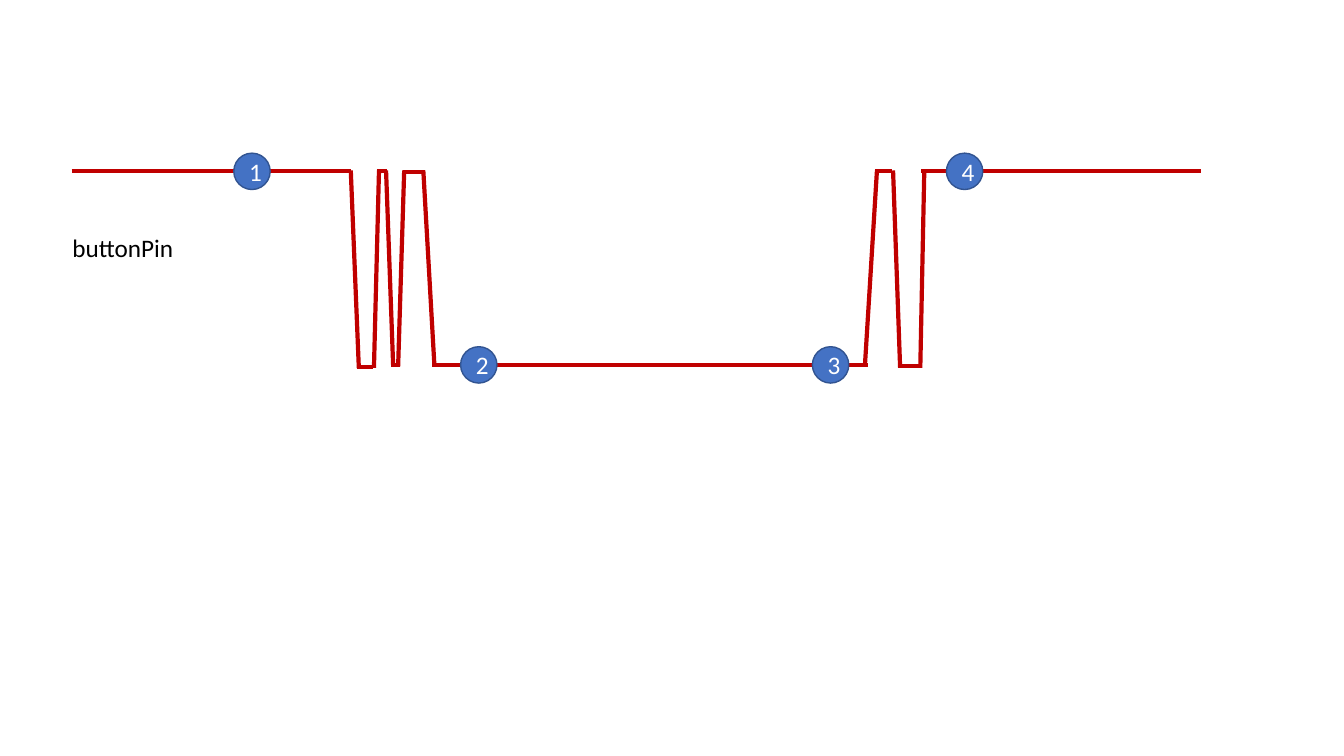
import dataclasses

import lxml.etree
import pptx
import pptx.dml.color
import pptx.enum.shapes
import pptx.enum.text
import pptx.oxml.ns
import pptx.util

Pt = pptx.util.Pt
RGBColor = pptx.dml.color.RGBColor


@dataclasses.dataclass(frozen=True)
class Theme:
    font: str = "Calibri"
    text_size: float = 18
    signal_width: float = 3
    outline_width: float = 1
    signal: RGBColor = RGBColor(0xC0, 0x00, 0x00)
    badge: RGBColor = RGBColor(0x44, 0x72, 0xC4)
    badge_outline: RGBColor = RGBColor(0x32, 0x54, 0x91)
    badge_text: RGBColor = RGBColor(0xFF, 0xFF, 0xFF)
    label_text: RGBColor = RGBColor(0x00, 0x00, 0x00)


HIGH = 122.4
LOW = 260.64
EDGE_TOP = 121.8
BADGE_SIZE = 26

# Level sections: start x, end x, y
LEVELS = [
    (658.08, 858.24, HIGH),
    (269.28, 276.48, HIGH),
    (51.12, 250.56, HIGH),
    (288, 303.84, 123),
    (624.96, 637.2, HIGH),
    (279.36, 284.4, LOW),
    (642.24, 658.08, 261.36),
    (619.92, 308.88, LOW),
    (254.88, 266.4, 262),
]

# Bouncing edges: x at the top, x at the bottom, y at the bottom
EDGES = [
    (250.56, 256.32, 262.8),
    (275.76, 280.8, LOW),
    (302.4, 310.32, 261.36),
    (626.4, 617.76, 262),
    (270.72, 267.12, 262.8),
    (637.92, 642.96, 262.8),
    (288.72, 284.4, 262),
    (660.24, 657.36, 262.8),
]

# Badges: number, centre x, centre y
BADGES = [
    ("1", 180, HIGH),
    ("4", 689, HIGH),
    ("3", 593.28, LOW),
    ("2", 342, LOW),
]


class SlideBuilder:
    def __init__(self, slide, theme):
        self.slide = slide
        self.theme = theme

    def format_text(self, text_frame, color):
        for paragraph in text_frame.paragraphs:
            for run in paragraph.runs:
                run.font.name = self.theme.font
                run.font.size = Pt(self.theme.text_size)
                run.font.color.rgb = color

    def signal_line(self, start_x, start_y, end_x, end_y):
        connector = self.slide.shapes.add_connector(
            pptx.enum.shapes.MSO_CONNECTOR.STRAIGHT,
            Pt(start_x), Pt(start_y), Pt(end_x), Pt(end_y),
        )
        connector.line.color.rgb = self.theme.signal
        connector.line.width = Pt(self.theme.signal_width)
        properties = connector._element.spPr
        lxml.etree.SubElement(properties, pptx.oxml.ns.qn("a:effectLst"))

    def label(self, text, left, top, width, height):
        text_box = self.slide.shapes.add_textbox(
            Pt(left), Pt(top), Pt(width), Pt(height)
        )
        text_frame = text_box.text_frame
        text_frame.word_wrap = True
        text_frame.auto_size = pptx.enum.text.MSO_AUTO_SIZE.SHAPE_TO_FIT_TEXT
        text_frame.text = text
        self.format_text(text_frame, self.theme.label_text)

    def badge(self, number, center_x, center_y):
        shape = self.slide.shapes.add_shape(
            pptx.enum.shapes.MSO_SHAPE.OVAL,
            Pt(center_x - BADGE_SIZE / 2), Pt(center_y - BADGE_SIZE / 2),
            Pt(BADGE_SIZE), Pt(BADGE_SIZE),
        )
        shape.shadow.inherit = False
        shape.fill.solid()
        shape.fill.fore_color.rgb = self.theme.badge
        shape.line.color.rgb = self.theme.badge_outline
        shape.line.width = Pt(self.theme.outline_width)
        text_frame = shape.text_frame
        text_frame.text = number
        text_frame.vertical_anchor = pptx.enum.text.MSO_ANCHOR.MIDDLE
        text_frame.paragraphs[0].alignment = pptx.enum.text.PP_ALIGN.CENTER
        self.format_text(text_frame, self.theme.badge_text)


def main():
    presentation = pptx.Presentation()
    presentation.slide_width = Pt(960)
    presentation.slide_height = Pt(540)
    blank_layout = presentation.slide_layouts.get_by_name("Blank")
    slide = presentation.slides.add_slide(blank_layout)
    builder = SlideBuilder(slide, Theme())

    for start_x, end_x, y in LEVELS:
        builder.signal_line(start_x, y, end_x, y)
    for top_x, bottom_x, bottom_y in EDGES:
        builder.signal_line(top_x, EDGE_TOP, bottom_x, bottom_y)
    builder.label("buttonPin", 44.64, 162.72, 97.92, 28.8)
    for number, center_x, center_y in BADGES:
        builder.badge(number, center_x, center_y)

    presentation.save("out.pptx")


if __name__ == "__main__":
    main()
